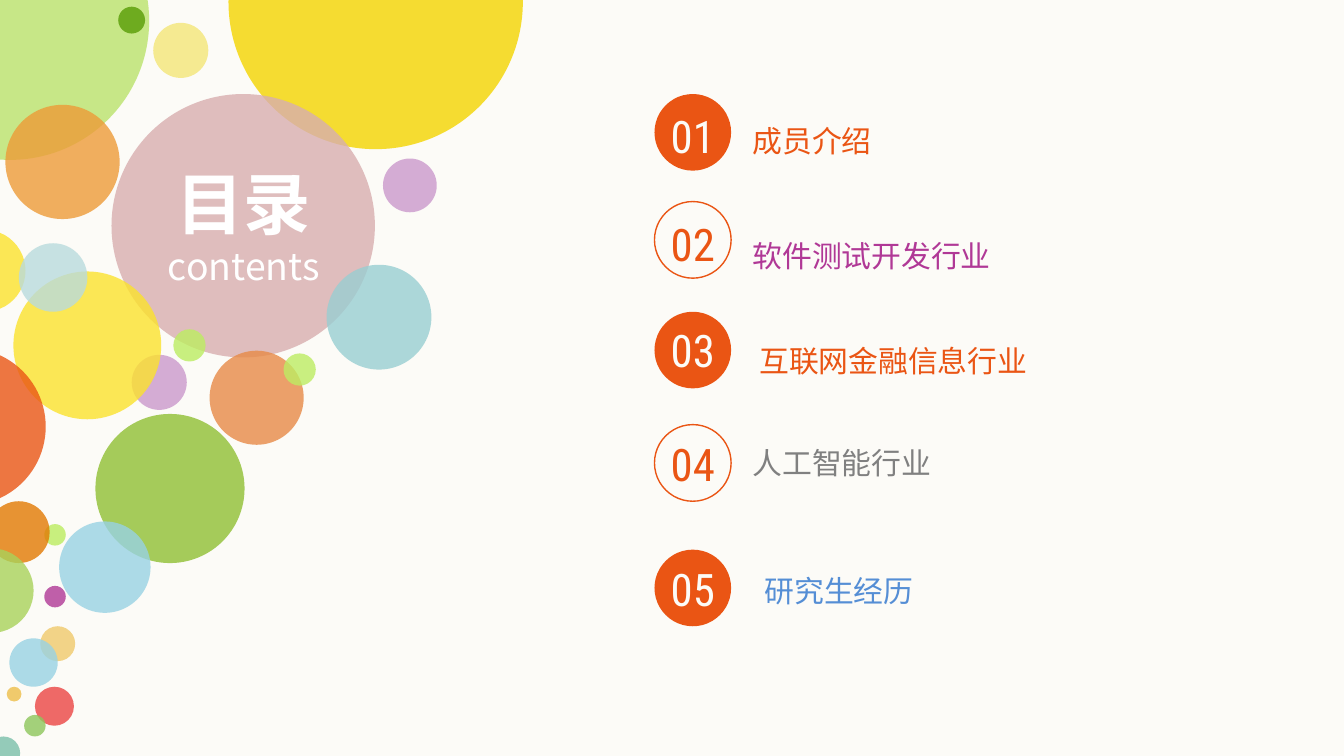
from lxml import etree
from pptx import Presentation
from pptx.dml.color import RGBColor
from pptx.enum.shapes import MSO_SHAPE
from pptx.enum.text import MSO_AUTO_SIZE, PP_ALIGN
from pptx.oxml.ns import qn
from pptx.util import Inches, Pt

OVAL = MSO_SHAPE.OVAL
LEFT, CENTER = PP_ALIGN.LEFT, PP_ALIGN.CENTER
CJK, NUMBER_FONT, LABEL_FONT = "Noto Sans CJK SC", "Roboto Condensed", "Calibri"
ORANGE, PURPLE, GRAY, BLUE = "EA5514", "B03896", "808080", "558ED5"
CREAM, WHITE = "FCFBF7", "FFFFFF"

# left, top, diameter, colour, opacity in percent; back to front
BUBBLES = [
    (-0.96, -0.88, 2.07, "BAE36B", 80),
    (0.88, 0.05, 0.2, "6EAB1F", 100),
    (0.04, 0.78, 0.85, "ED9B38", 80),
    (1.14, 0.17, 0.41, "F5EA91", 100),
    (1.7, -1.08, 2.19, "F4D500", 80),
    (0.83, 0.7, 1.96, "D8AEAF", 80),
    (2.43, 1.97, 0.78, "99CED2", 80),
    (2.85, 1.18, 0.4, "CB99CC", 80),
    (1.56, 2.61, 0.7, "E78A47", 80),
    (0.71, 3.08, 1.11, "A5CB5A", 100),
    (2.11, 2.63, 0.24, "BDED63", 80),
    (1.29, 2.45, 0.24, "BCED61", 80),
    (0.98, 2.64, 0.41, "CB99CC", 80),
    (0.1, 2.02, 1.1, "FBE22D", 80),
    (-0.42, 1.71, 0.61, "FBE22D", 80),
    (0.33, 3.9, 0.16, "BCED60", 80),
    (0.33, 4.36, 0.16, PURPLE, 80),
    (0.3, 4.66, 0.26, "F0CA6C", 80),
    (0.05, 5.11, 0.11, "F0CA6C", 100),
    (-0.1, 5.48, 0.25, "7BBFAA", 80),
    (0.26, 5.11, 0.29, "EB4544", 80),
    (0.18, 5.32, 0.16, "8DC65B", 80),
    (0.07, 4.75, 0.36, "98D2E3", 80),
    (0.14, 1.81, 0.51, "B9DBDD", 80),
    (0.44, 3.88, 0.68, "98D2E3", 80),
    (-0.09, 3.73, 0.46, "E27902", 80),
    (-0.38, 4.08, 0.63, "A9D25A", 80),
    (-0.83, 2.59, 1.17, ORANGE, 80),
]

# label, colour, font, circle top, number top, label left, label top
CHAPTERS = [
    ("成员介绍", ORANGE, NUMBER_FONT, 0.7, 0.81, 5.6, 0.91),
    ("软件测试开发行业", PURPLE, NUMBER_FONT, 1.5, 1.61, 5.6, 1.77),
    ("互联网金融信息行业", ORANGE, NUMBER_FONT, 2.32, 2.4, 5.65, 2.55),
    ("人工智能行业", GRAY, LABEL_FONT, 3.16, 3.25, 5.6, 3.31),
    ("研究生经历", BLUE, LABEL_FONT, 4.09, 4.18, 5.69, 4.26),
]
BADGE_LEFT, BADGE_SIZE = 4.87, 0.57


def rgb(value):
    return RGBColor.from_string(value)


def add_circle(slide, left, top, size, fill=None, opacity=100, line=None):
    shape = slide.shapes.add_shape(
        OVAL, Inches(left), Inches(top), Inches(size), Inches(size))
    shape.shadow.inherit = False
    if fill:
        shape.fill.solid()
        shape.fill.fore_color.rgb = rgb(fill)
        if opacity < 100:
            color = shape.fill._xPr.find(".//" + qn("a:srgbClr"))
            etree.SubElement(color, qn("a:alpha"), val=str(opacity * 1000))
    else:
        shape.fill.background()
    if line:
        shape.line.color.rgb = rgb(line)
        shape.line.width = Pt(0.75)
    else:
        shape.line.fill.background()


def add_text(slide, left, top, width, height, lines, color, font, align=LEFT):
    """Add a text box; lines holds (text, size, bold) for each paragraph."""
    box = slide.shapes.add_textbox(
        Inches(left), Inches(top), Inches(width), Inches(height))
    frame = box.text_frame
    frame.word_wrap = True
    frame.auto_size = MSO_AUTO_SIZE.SHAPE_TO_FIT_TEXT
    frame.margin_left = frame.margin_right = 0
    frame.margin_top = frame.margin_bottom = 0
    for index, (text, size, bold) in enumerate(lines):
        paragraph = frame.add_paragraph() if index else frame.paragraphs[0]
        paragraph.text = text
        paragraph.alignment = align
        paragraph.font.size = Pt(size)
        paragraph.font.bold = bold
        paragraph.font.name = font
        paragraph.font.color.rgb = rgb(color)
        properties = paragraph._p.pPr.find(qn("a:defRPr"))
        etree.SubElement(properties, qn("a:ea"), typeface=CJK)


def main():
    presentation = Presentation()
    presentation.slide_width = Inches(10)
    presentation.slide_height = Inches(10) * 9 // 16
    slide = presentation.slides.add_slide(presentation.slide_layouts[6])
    slide.background.fill.solid()
    slide.background.fill.fore_color.rgb = rgb(CREAM)

    for bubble in BUBBLES:
        add_circle(slide, *bubble)
    add_text(slide, 1.06, 1.21, 1.51, 0.94,
             [("目录", 36, True), ("contents", 20, False)], WHITE, CJK, CENTER)

    for number, chapter in enumerate(CHAPTERS, start=1):
        label, color, font, circle_top, number_top, label_left, label_top = chapter
        filled = number % 2 == 1
        add_circle(slide, BADGE_LEFT, circle_top, BADGE_SIZE,
                   fill=ORANGE if filled else None,
                   line=None if filled else ORANGE)
        add_text(slide, BADGE_LEFT, number_top, BADGE_SIZE, 0.4,
                 [(f"{number:02}", 24, False)],
                 CREAM if filled else ORANGE, NUMBER_FONT, CENTER)
        add_text(slide, label_left, label_top, 2.13, 0.27,
                 [(label, 16, False)], color, font)

    presentation.save("out.pptx")


if __name__ == "__main__":
    main()
